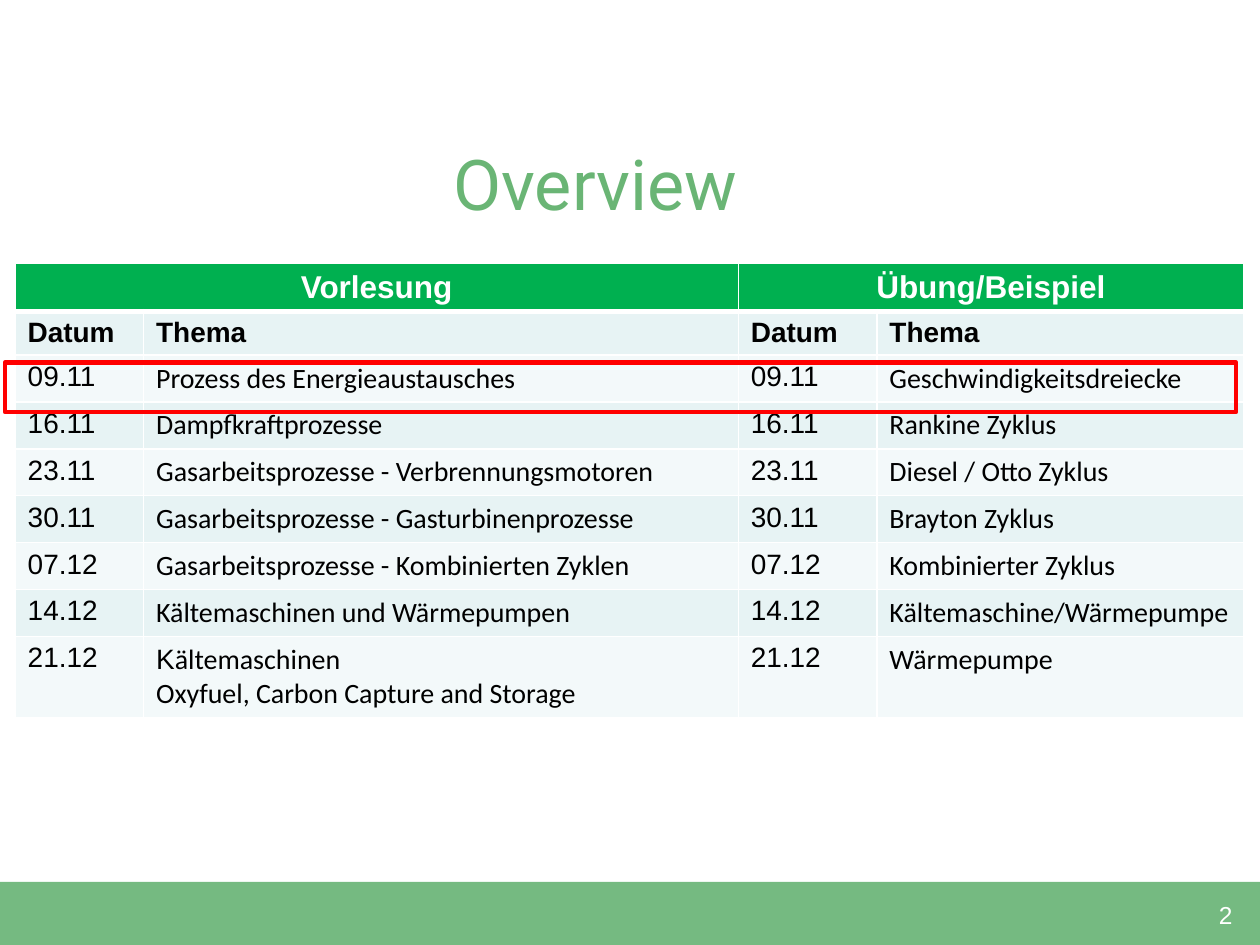
from lxml import etree
from pptx import Presentation
from pptx.dml.color import RGBColor
from pptx.enum.shapes import MSO_SHAPE
from pptx.enum.text import MSO_ANCHOR, PP_ALIGN
from pptx.oxml.ns import qn
from pptx.util import Inches, Pt

WHITE = RGBColor(0xFF, 0xFF, 0xFF)
BLACK = RGBColor(0, 0, 0)
RED = RGBColor(0xFF, 0, 0)
FOOTER_GREEN = RGBColor(0x75, 0xBA, 0x81)
TITLE_GREEN = RGBColor(0x6A, 0xB5, 0x75)
HEADER_GREEN = RGBColor(0x00, 0xB0, 0x50)
BANDS = [RGBColor(0xF3, 0xF9, 0xFA), RGBColor(0xE7, 0xF3, 0xF4)]

COLUMN_WIDTHS = [1.02, 4.72, 1.1, 2.91]
SCHEDULE = [
    ("09.11", "Prozess des Energieaustausches", "Geschwindigkeitsdreiecke"),
    ("16.11", "Dampfkraftprozesse", "Rankine Zyklus"),
    ("23.11", "Gasarbeitsprozesse - Verbrennungsmotoren", "Diesel / Otto Zyklus"),
    ("30.11", "Gasarbeitsprozesse - Gasturbinenprozesse", "Brayton Zyklus"),
    ("07.12", "Gasarbeitsprozesse - Kombinierten Zyklen", "Kombinierter Zyklus"),
    ("14.12", "Kältemaschinen und Wärmepumpen", "Kältemaschine/Wärmepumpe"),
    ("21.12", "Kältemaschinen\nOxyfuel, Carbon Capture and Storage", "Wärmepumpe"),
]


def style(paragraph, font_name, size, color, bold=False, align=PP_ALIGN.LEFT):
    paragraph.alignment = align
    font = paragraph.font
    font.name, font.size, font.bold = font_name, Pt(size), bold
    font.color.rgb = color


def add_borders(cell, top, bottom):
    """Draw white cell borders; top and bottom widths are in points."""
    properties = cell._tc.get_or_add_tcPr()
    for tag, width in (("a:lnL", 1), ("a:lnR", 1), ("a:lnT", top), ("a:lnB", bottom)):
        line = etree.SubElement(properties, qn(tag), w=str(Pt(width)))
        fill = etree.SubElement(line, qn("a:solidFill"))
        etree.SubElement(fill, qn("a:srgbClr"), val=str(WHITE))


prs = Presentation()
prs.slide_width, prs.slide_height = Inches(10), Inches(7.5)
slide = prs.slides.add_slide(prs.slide_layouts[6])
shapes = slide.shapes

footer = shapes.add_shape(MSO_SHAPE.RECTANGLE, 0, Inches(7), Inches(10), Inches(0.5))
footer.shadow.inherit = False
footer.fill.solid()
footer.fill.fore_color.rgb = FOOTER_GREEN
footer.line.fill.background()

# Schedule: group header, column header, then one row per date
rows = [("Vorlesung", "", "Übung/Beispiel", ""), ("Datum", "Thema") * 2]
rows += [(date, lecture, date, exercise) for date, lecture, exercise in SCHEDULE]
table = shapes.add_table(len(rows), len(COLUMN_WIDTHS), Inches(0.12), Inches(2.09),
                         Inches(sum(COLUMN_WIDTHS)), Inches(0.27 * len(rows))).table
table.first_row = table.horz_banding = False
for column, width in zip(table.columns, COLUMN_WIDTHS):
    column.width = Inches(width)

for r, texts in enumerate(rows):
    table.rows[r].height = Inches(0.27)
    for c, text in enumerate(texts):
        cell = table.cell(r, c)
        add_borders(cell, top=3 if r == 1 else 1, bottom=3 if r == 0 else 1)
        cell.fill.solid()
        cell.fill.fore_color.rgb = HEADER_GREEN if r == 0 else BANDS[r % 2]
        cell.text = text
        for paragraph in cell.text_frame.paragraphs:
            if r == 0:
                style(paragraph, "Arial", 18, WHITE, True, PP_ALIGN.CENTER)
            else:
                is_topic = r > 1 and c % 2 == 1
                style(paragraph, "Calibri" if is_topic else "Arial", 16, BLACK, r == 1)
for c in (0, 2):
    table.cell(0, c).merge(table.cell(0, c + 1))

# The first letter of the last lecture is set in Arial
last_lecture = table.cell(len(rows) - 1, 1).text_frame.paragraphs[0]
initial = last_lecture.runs[0]
remainder = last_lecture.add_run()
initial.text, remainder.text = initial.text[:1], initial.text[1:]
initial.font.name = "Arial"

title = shapes.add_textbox(Inches(3.5), Inches(0.91), Inches(2.91), Inches(1.08)).text_frame
title.word_wrap = True
title.vertical_anchor = MSO_ANCHOR.MIDDLE
title.text = "Overview"
style(title.paragraphs[0], "Roboto", 40, TITLE_GREEN)

page_number = shapes.add_textbox(Inches(8.14), Inches(7.09), Inches(1.74), Inches(0.44)).text_frame
page_number.word_wrap = True
page_number.text = "2"
style(page_number.paragraphs[0], "Arial", 14, WHITE, align=PP_ALIGN.RIGHT)

highlight = shapes.add_shape(MSO_SHAPE.RECTANGLE, Inches(0.04), Inches(2.88),
                             Inches(9.77), Inches(0.39))
highlight.shadow.inherit = False
highlight.fill.background()
highlight.line.color.rgb = RED
highlight.line.width = Pt(2.75)

prs.save("out.pptx")
